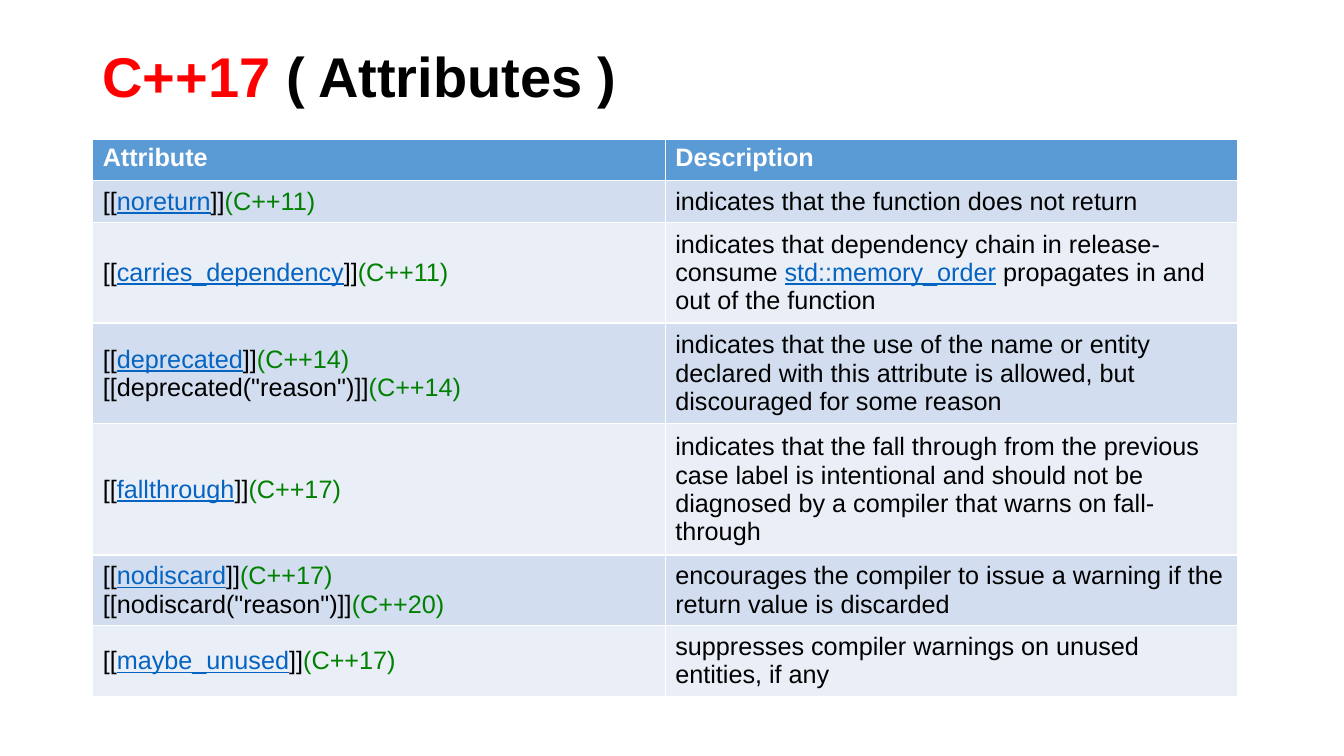
"""Build a slide with a table of the standard C++ attributes."""
import dataclasses
import enum

import pptx
import pptx.dml.color
import pptx.enum.text
import pptx.util


@dataclasses.dataclass(frozen=True)
class Theme:
    font: str = "Arial"
    title_size: int = 40
    table_size: int = 18
    header_fill: str = "5B9BD5"
    band_fills: tuple[str, str] = ("D2DEEF", "EAEFF7")


class Ink(enum.Enum):
    TEXT = "000000"
    HEADER = "FFFFFF"
    LINK = "0563C1"
    VERSION = "008000"
    ACCENT = "FF0000"


@dataclasses.dataclass(frozen=True)
class Piece:
    text: str
    ink: Ink = Ink.TEXT


@dataclasses.dataclass(frozen=True)
class Box:
    left: float
    top: float
    width: float
    height: float

    def lengths(self) -> tuple[int, int, int, int]:
        return (int(self.left * WIDTH), int(self.top * HEIGHT),
                int(self.width * WIDTH), int(self.height * HEIGHT))


@dataclasses.dataclass(frozen=True)
class Attribute:
    name: str
    version: str
    description: tuple[Piece, ...]
    reason_version: str = ""

    def lines(self) -> list[list[Piece]]:
        version = Piece(f"({self.version})", Ink.VERSION)
        lines = [[Piece("[["), Piece(self.name, Ink.LINK), Piece("]]"), version]]
        if self.reason_version:
            lines.append([Piece(f'[[{self.name}("reason")]]'),
                          Piece(f"({self.reason_version})", Ink.VERSION)])
        return lines


THEME = Theme()
WIDTH = pptx.util.Inches(13.33)
HEIGHT = pptx.util.Inches(7.5)
ROW_SHARE = 0.055
TITLE_BOX = Box(0.069, 0.053, 0.863, 0.105)
TITLE = [Piece("C++17 ", Ink.ACCENT), Piece("( Attributes )")]
HEADINGS = ("Attribute", "Description")
ATTRIBUTES = [
    Attribute("noreturn", "C++11",
              (Piece("indicates that the function does not return"),)),
    Attribute("carries_dependency", "C++11",
              (Piece("indicates that dependency chain in release-consume "),
               Piece("std::memory_order", Ink.LINK),
               Piece(" propagates in and out of the function"))),
    Attribute("deprecated", "C++14",
              (Piece("indicates that the use of the name or entity declared with "
                     "this attribute is allowed, but discouraged for some reason"),),
              "C++14"),
    Attribute("fallthrough", "C++17",
              (Piece("indicates that the fall through from the previous case label "
                     "is intentional and should not be diagnosed by a compiler "
                     "that warns on fall-through"),)),
    Attribute("nodiscard", "C++17",
              (Piece("encourages the compiler to issue a warning if the return "
                     "value is discarded"),),
              "C++20"),
    Attribute("maybe_unused", "C++17",
              (Piece("suppresses compiler warnings on unused entities, if any"),)),
]
TABLE_BOX = Box(0.069, 0.184, 0.852, ROW_SHARE * (len(ATTRIBUTES) + 1))


def rgb(value: str) -> pptx.dml.color.RGBColor:
    return pptx.dml.color.RGBColor.from_string(value)


def write(tf: pptx.text.text.TextFrame, lines: list[list[Piece]],
          size: int, bold: bool) -> None:
    p = tf.paragraphs[0]
    p.font.name = THEME.font
    p.font.size = pptx.util.Pt(size)
    p.font.bold = bold
    for index, line in enumerate(lines):
        if index:
            p.add_line_break()
        for piece in line:
            r = p.add_run()
            r.text = piece.text
            r.font.color.rgb = rgb(piece.ink.value)
            if piece.ink is Ink.LINK:
                r.font.underline = True


def add_title(s: pptx.slide.Slide) -> None:
    tf = s.shapes.add_textbox(*TITLE_BOX.lengths()).text_frame
    tf.word_wrap = True
    tf.vertical_anchor = pptx.enum.text.MSO_ANCHOR.MIDDLE
    tf.paragraphs[0].line_spacing = 0.9
    write(tf, [TITLE], THEME.title_size, True)


def fill_cell(cell: pptx.table._Cell, lines: list[list[Piece]],
              fill: str, header: bool = False) -> None:
    cell.fill.solid()
    cell.fill.fore_color.rgb = rgb(fill)
    if not header:
        cell.vertical_anchor = pptx.enum.text.MSO_ANCHOR.MIDDLE
    write(cell.text_frame, lines, THEME.table_size, header)


def add_attribute_table(s: pptx.slide.Slide) -> None:
    table = s.shapes.add_table(len(ATTRIBUTES) + 1, len(HEADINGS),
                               *TABLE_BOX.lengths()).table
    for column, heading in enumerate(HEADINGS):
        fill_cell(table.cell(0, column), [[Piece(heading, Ink.HEADER)]],
                  THEME.header_fill, header=True)
    for index, attribute in enumerate(ATTRIBUTES):
        fill = THEME.band_fills[index % 2]
        fill_cell(table.cell(index + 1, 0), attribute.lines(), fill)
        fill_cell(table.cell(index + 1, 1), [list(attribute.description)], fill)


def main() -> None:
    prs = pptx.Presentation()
    prs.slide_width, prs.slide_height = WIDTH, HEIGHT
    s = prs.slides.add_slide(prs.slide_layouts[6])
    add_title(s)
    add_attribute_table(s)
    prs.save("out.pptx")


if __name__ == "__main__":
    main()
